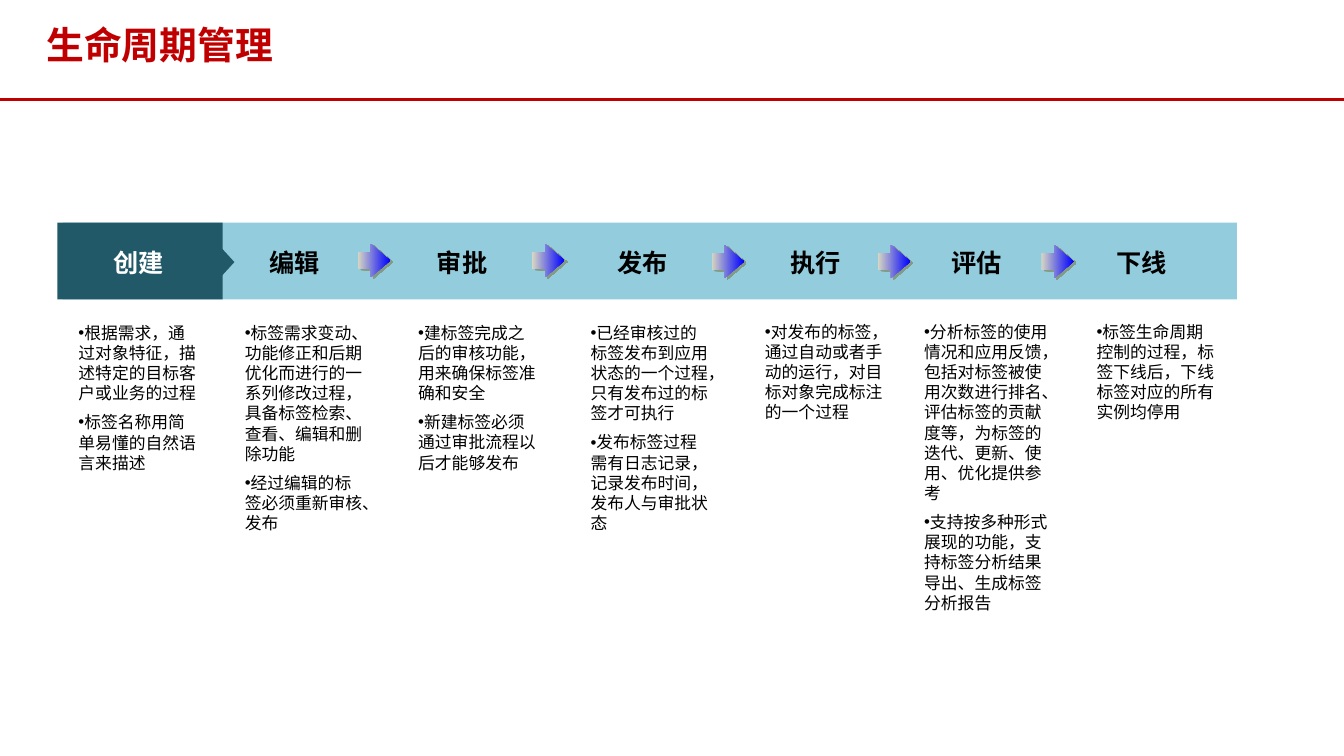
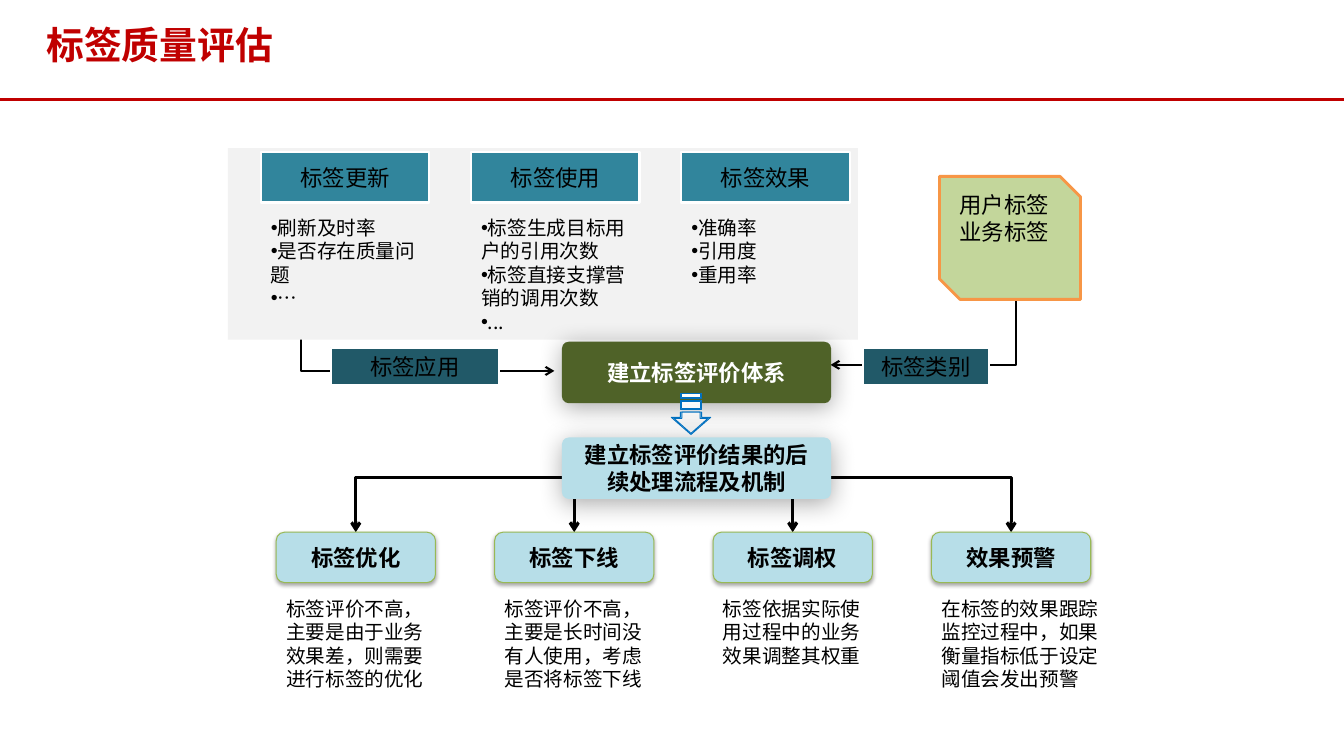
from lxml import etree
from pptx import Presentation, util as u
from pptx.dml.color import RGBColor
from pptx.enum import shapes as sh, text as tx
from pptx.oxml.ns import qn

# Grid: one cell is a tenth of an inch
CELL = u.Inches(0.1)
COLS, ROWS = 133.33, 75
FACE = "Noto Sans CJK SC"
RED, BLACK, WHITE = "C00000", "000000", "FFFFFF"
NAVY, TEAL, SKY, ICE = "215968", "31859C", "93CDDD", "B7DEE8"
GREY, OLIVE, LIME, LEAF = "F2F2F2", "4F6228", "C3D69B", "98B955"
ORANGE, BLUE = "F79646", "0070C0"
KIND = sh.MSO_SHAPE
MID, TOP = tx.MSO_ANCHOR.MIDDLE, tx.MSO_ANCHOR.TOP
LEFT, CENTER = tx.PP_ALIGN.LEFT, tx.PP_ALIGN.CENTER

# Shadows: colour, opacity %, blur pt, distance pt, angle
EDGE = ("756B2F", 50, 0, 2.2, 27)
GLOW = (BLACK, 33, 17.8, 3, 87)
SOFT = (BLACK, 35, 3.1, 1.8, 90)


def grid(*cells):
    return [round(c * CELL) for c in cells]


def rgb(code):
    return RGBColor.from_string(code)


def sub(node, tag, **attrs):
    return etree.SubElement(node, qn(tag), {k: str(v) for k, v in attrs.items()})


def cast(effects, shade):
    """Add an outer shadow to an effect list."""
    code, alpha, blur, dist, angle = shade
    outer = sub(effects, "a:outerShdw", blurRad=u.Pt(blur), dist=u.Pt(dist),
                dir=angle * 60000, algn="ctr", rotWithShape=0)
    sub(sub(outer, "a:srgbClr", val=code), "a:alpha", val=alpha * 1000)


def write(frame, lines, size=12, color=BLACK, bold=False, align=LEFT,
          anchor=TOP, face=FACE, bullet=False, hang=0, gap=0, shade=None):
    """Fill a text frame, one paragraph for each line."""
    frame.word_wrap = True
    frame.auto_size = tx.MSO_AUTO_SIZE.NONE
    frame.vertical_anchor = anchor
    for i, line in enumerate([lines] if isinstance(lines, str) else lines):
        para = frame.add_paragraph() if i else frame.paragraphs[0]
        if bullet:
            props = para._p.get_or_add_pPr()
            props.set("marL", "0")
            props.set("indent", str(-u.Inches(hang)))
            sub(props, "a:buFont", typeface="Arial")
            sub(props, "a:buChar", char="•")
        para.alignment = align
        para.space_before = u.Pt(gap if i else 0)
        run = para.add_run()
        run.text = line
        font = run.font
        font.size, font.bold, font.name = u.Pt(size), bold, face
        font.color.rgb = rgb(color)
        props = run._r.get_or_add_rPr()
        props.find(qn("a:latin")).addnext(
            props.makeelement(qn("a:ea"), {"typeface": FACE}))
        if shade:
            effects = props.makeelement(qn("a:effectLst"), {})
            props.find(qn("a:solidFill")).addnext(effects)
            cast(effects, shade)


def label(slide, at, lines, **style):
    write(slide.shapes.add_textbox(*grid(*at)).text_frame, lines, **style)


def paint(shape, fill, line=None, width=0.75, shade=None, angle=0):
    """Fill is a colour, or a pair of colours for a gradient."""
    if isinstance(fill, str):
        shape.fill.solid()
        shape.fill.fore_color.rgb = rgb(fill)
    else:
        shape.fill.gradient()
        shape.fill.gradient_angle = angle
        for stop, code, place in zip(shape.fill.gradient_stops, fill, (0, 1)):
            stop.color.rgb, stop.position = rgb(code), place
    if line:
        shape.line.color.rgb = rgb(line)
        shape.line.width = u.Pt(width)
    else:
        shape.line.fill.background()
    shape.shadow.inherit = False
    if shade:
        cast(shape.element.spPr.find(qn("a:effectLst")), shade)


def box(slide, kind, at, fill, lines=None, adj=(), look=None, **style):
    shape = slide.shapes.add_shape(kind, *grid(*at))
    for i, value in enumerate(adj):
        shape.adjustments[i] = value
    paint(shape, fill, **(look or {}))
    if lines:
        write(shape.text_frame, lines, **style)
    return shape


def wire(slide, start, end, color=BLACK, width=1.5, bent=True, head=None, tail=None):
    """Straight line, or a bend that leaves its start sideways."""
    link = sh.MSO_CONNECTOR.ELBOW if bent else sh.MSO_CONNECTOR.STRAIGHT
    line = slide.shapes.add_connector(link, *grid(*start, *end))
    line.line.color.rgb = rgb(color)
    line.line.width = u.Pt(width)
    props = line.element.spPr
    if bent:
        props.find(qn("a:prstGeom")).set("prst", "bentConnector2")
    for tag, tip in (("a:headEnd", head), ("a:tailEnd", tail)):
        if tip:
            sub(props.find(qn("a:ln")), tag, type=tip)
    sub(props, "a:effectLst")
    return line


def page(deck, title):
    slide = deck.slides.add_slide(deck.slide_layouts[5])
    head = slide.shapes.title
    head.left, head.top, head.width, head.height = grid(3.6, 1.5, 103.2, 5.9)
    write(head.text_frame, title, size=27, color=RED, bold=True,
          anchor=MID, face="Arial")
    return slide


def rule(deck, slide):
    """Put the red line under the title on the shared layout."""
    line = wire(slide, (0, 9.9), (COLS, 9.9), color=RED, width=2.25, bent=False)
    deck.slide_layouts[5].shapes.element.append(line.element)


# Life cycle: name, left of name, left of notes, width of notes, notes
STEPS = [
    ("编辑", 22.1, 23.3, 13.8, [
        "标签需求变动、功能修正和后期优化而进行的一系列修改过程，具备标签检索、查看、编辑和删除功能",
        "经过编辑的标签必须重新审核、发布"]),
    ("审批", 38.7, 40.5, 13.8, [
        "建标签完成之后的审核功能，用来确保标签准确和安全",
        "新建标签必须通过审批流程以后才能够发布"]),
    ("发布", 56.6, 57.6, 13.8, [
        "已经审核过的标签发布到应用状态的一个过程，只有发布过的标签才可执行",
        "发布标签过程需有日志记录，记录发布时间，发布人与审批状态"]),
    ("执行", 73.8, 74.9, 13.8, [
        "对发布的标签，通过自动或者手动的运行，对目标对象完成标注的一个过程"]),
    ("评估", 89.7, 90.7, 15, [
        "分析标签的使用情况和应用反馈，包括对标签被使用次数进行排名、评估标签的贡献度等，为标签的迭代、更新、使用、优化提供参考",
        "支持按多种形式展现的功能，支持标签分析结果导出、生成标签分析报告"]),
    ("下线", 106.1, 107.8, 13.8, [
        "标签生命周期控制的过程，标签下线后，下线标签对应的所有实例均停用"]),
]
FIRST = ["根据需求，通过对象特征，描述特定的目标客户或业务的过程",
         "标签名称用简单易懂的自然语言来描述"]
ARROWS = (35.5, 52.8, 70.6, 87.1, 103.3)


def cycle(slide):
    # Band with the first step marked
    box(slide, KIND.RECTANGLE, (6.2, 22.1, 116.5, 7.6), SKY)
    box(slide, KIND.RECTANGLE, (5.7, 22.1, 16.4, 7.6), NAVY)
    box(slide, KIND.ISOSCELES_TRIANGLE, (20.7, 25.2, 3.5, 1.6), NAVY).rotation = 90
    name = dict(size=18, bold=True, align=CENTER)
    note = dict(bullet=True, hang=0.31, gap=6.4)
    label(slide, (5.9, 24, 15.7, 4), "创建", color=WHITE,
          shade=(BLACK, 60, 0, 2, 45), **name)
    label(slide, (6.8, 31.5, 13.8, 18.2), FIRST, **note)
    # Other steps and their notes
    for i, (word, left, side, wide, notes) in enumerate(STEPS):
        label(slide, (left, 24, 14.3, 4), word, **name)
        label(slide, (side, 31.5 if i < 3 else 31.4, wide, 30), notes, **note)
    for i, left in enumerate(ARROWS):
        box(slide, KIND.RIGHT_ARROW, (left, 24.2 if i < 2 else 24.3, 3.2, 3.3),
            ("D7D7C3", "0000FF"), adj=(0.5, 0.6), look=dict(shade=EDGE))


METRICS = [
    ("标签更新", ["刷新及时率", "是否存在质量问题", "…"]),
    ("标签使用", ["标签生成目标用户的引用次数", "标签直接支撑营销的调用次数", "..."]),
    ("标签效果", ["准确率", "引用度", "重用率"]),
]
ACTIONS = [
    ("标签优化", 15.8, "标签评价不高，主要是由于业务效果差，则需要进行标签的优化"),
    ("标签下线", 15.8, "标签评价不高，主要是长时间没有人使用，考虑是否将标签下线"),
    ("标签调权", 15.8, "标签依据实际使用过程中的业务效果调整其权重"),
    ("效果预警", 18.3, "在标签的效果跟踪监控过程中，如果衡量指标低于设定阈值会发出预警"),
]


def drop(slide, half, wing, bars, neck, tip, tint):
    """Down arrow trailed by two bars, centred on the hub."""
    mid, top = 68.55, 40.9
    rings = [[(mid - half, a), (mid + half, a), (mid + half, b), (mid - half, b)]
             for a, b in bars]
    rings.append([(mid - half, top), (mid + half, top), (mid + half, neck),
                  (mid + wing, neck), (mid, tip), (mid - wing, neck),
                  (mid - half, neck)])
    pen = slide.shapes.build_freeform(*grid(*rings[0][0]))
    for i, ring in enumerate(rings):
        if i:
            pen.move_to(*grid(*ring[0]))
        pen.add_line_segments([grid(*dot) for dot in ring[1:]], close=True)
    paint(pen.convert_to_shape(), tint, line=BLUE, angle=270)


def quality(slide):
    mark = dict(size=16, align=CENTER, anchor=MID)
    rim = dict(line=WHITE, width=1.5)
    # Inputs on both sides of the scoring system
    wire(slide, (55, 36.8), (29.9, 30.7), head="arrow")
    wire(slide, (82.4, 36.2), (100.8, 29), head="arrow")
    box(slide, KIND.RECTANGLE, (22.6, 14.7, 62.5, 19), GREY)
    for i, (word, notes) in enumerate(METRICS):
        left = 25.9 + 20.85 * i
        box(slide, KIND.RECTANGLE, (left, 15.1, 16.7, 5), TEAL, word, look=rim, **mark)
        label(slide, (left, 20.9, 16.7, 12.8), notes, size=14, bullet=True)
    for word, left, wide in (("标签类别", 85.6, 12.5), ("标签应用", 32.8, 16.7)):
        box(slide, KIND.RECTANGLE, (left, 34.5, wide, 3.7), NAVY, word, look=rim, **mark)
    box(slide, KIND.SNIP_2_DIAG_RECTANGLE, (93.2, 17.5, 14, 12.2), LIME,
        ["用户标签", "业务标签"], look=dict(line=ORANGE, width=2), size=16)
    # Follow-up actions
    for i, (word, wide, note) in enumerate(ACTIONS):
        left = 27.4 + 21.67 * i
        wire(slide, (69.1, 47.4), (left + 7.9, 52.8), width=2.25, tail="arrow")
        box(slide, KIND.ROUNDED_RECTANGLE, (left, 52.8, 15.8, 5), ICE, word,
            look=dict(line=LEAF, shade=SOFT), bold=True, **mark)
        label(slide, (left, 58.7, wide, 10.4), note, size=14)
    # Two hubs, joined by the down arrow
    for top, fill, color, word in (
            (33.9, OLIVE, WHITE, "建立标签评价体系"),
            (43.4, ICE, BLACK, "建立标签评价结果的后续处理流程及机制")):
        box(slide, KIND.ROUNDED_RECTANGLE, (55.75, top, 26.7, 6.1), fill, word,
            adj=(0.11,), look=dict(shade=GLOW), color=color, bold=True, **mark)
    drop(slide, 1.05, 1.95, ((39, 39.5), (39.7, 40.6)), 41.4, 43.1,
         ("F9F9F5", "EEECE1"))
    drop(slide, 0.9, 1.7, ((39, 39.4), (39.8, 40.5)), 41.5, 43,
         ("FFFFFF", "EAEAEA"))


def main():
    deck = Presentation()
    deck.slide_width, deck.slide_height = grid(COLS, ROWS)
    first = page(deck, "生命周期管理")
    rule(deck, first)
    cycle(first)
    quality(page(deck, "标签质量评估"))
    deck.save("out.pptx")


if __name__ == "__main__":
    main()
